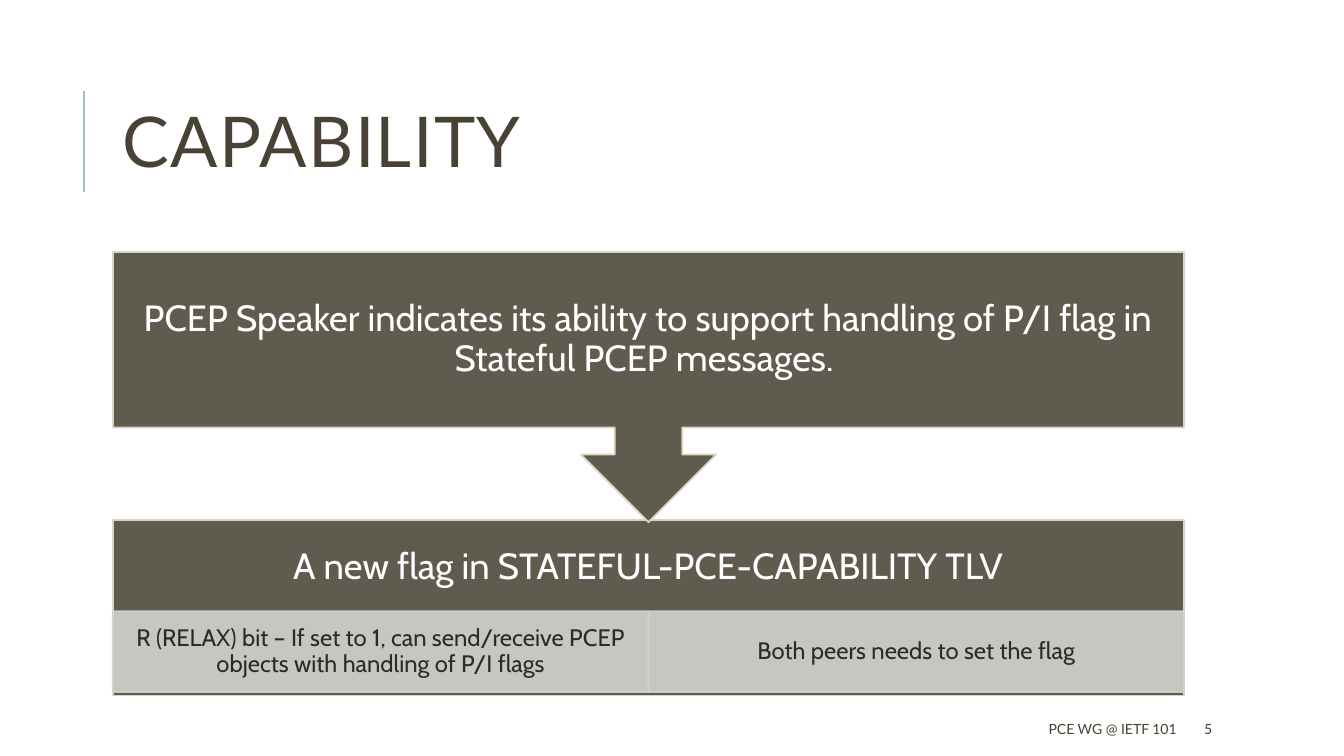
import pptx
import pptx.util
import pptx.dml.color
import pptx.enum.shapes
import pptx.enum.text
import lxml.etree
from pptx.oxml.ns import qn

WIDTH, HEIGHT = 13.33, 7.5
COLORS = {"olive": "605B4F", "edge": "D8D6BE", "cell": "D2D2D0", "white": "FFFFFF",
          "heading": "474233", "body": "2E2B21", "accent": "9CBEBD"}
SHAPES = pptx.enum.shapes.MSO_SHAPE
ALIGN = pptx.enum.text.PP_ALIGN


def rgb(name):
    """Look up a palette colour."""
    return pptx.dml.color.RGBColor.from_string(COLORS[name])


def emu(box):
    """Convert inches to slide lengths."""
    return [pptx.util.Inches(length) for length in box]


def part(box, left, top, width, height):
    """Return the part of a box given by shares of its size."""
    x, y, w, h = box
    return x + left * w, y + top * h, width * w, height * h


def write(holder, text, size, color, font="Cabin", align=ALIGN.CENTER,
          inset=(0.2, 0.2), line=0.9, tracking=0):
    """Fill a shape or text box with one formatted, vertically centred paragraph."""
    frame = holder.text_frame
    frame.word_wrap = True
    frame.vertical_anchor = pptx.enum.text.MSO_ANCHOR.MIDDLE
    frame.margin_left = frame.margin_right = pptx.util.Inches(inset[0])
    frame.margin_top = frame.margin_bottom = pptx.util.Inches(inset[1])
    paragraph = frame.paragraphs[0]
    paragraph.alignment, paragraph.line_spacing = align, line
    run = paragraph.add_run()
    run.text = text
    run.font.name, run.font.size = font, pptx.util.Pt(size)
    run.font.color.rgb = rgb(color)
    if tracking:
        run.font._element.set("spc", str(tracking * 100))


def add_label(slide, box, text, size, color, **style):
    """Add a text box holding one label."""
    write(slide.shapes.add_textbox(*emu(box)), text, size, color, **style)


def add_block(slide, kind, box, fill, edge, opacity=100):
    """Add a filled, outlined shape."""
    block = slide.shapes.add_shape(kind, *emu(box))
    block.shadow.inherit = False
    block.fill.solid()
    block.fill.fore_color.rgb = rgb(fill)
    block.line.color.rgb = rgb(edge)
    block.line.width = pptx.util.Pt(1.25)
    if opacity < 100:
        for color in block._element.spPr.iter(qn("a:srgbClr")):
            lxml.etree.SubElement(color, qn("a:alpha"), val=str(opacity * 1000))
    return block


def add_heading(slide, box):
    """Place the title and the accent rule to its left."""
    add_label(slide, box, "CAPABILITY", 50, "heading", font="Lato", align=ALIGN.LEFT,
              inset=(0.1, 0.05), line=0.8, tracking=1)
    x, y, _, _ = box
    rule = slide.shapes.add_connector(pptx.enum.shapes.MSO_CONNECTOR.STRAIGHT,
                                      *emu((x - 0.29, y + 1.26, x - 0.29, y + 0.26)))
    rule.line.color.rgb = rgb("accent")
    rule.line.width = pptx.util.Pt(1.5)
    lxml.etree.SubElement(rule._element.spPr, qn("a:effectLst"))


def add_flag_panel(slide, box, heading, details):
    """Place the panel heading above equal columns of details."""
    add_block(slide, SHAPES.RECTANGLE, box, "olive", "edge")
    add_label(slide, part(box, 0, 0, 1, 0.54), heading, 26, "white")
    share = 1 / len(details)
    for column, detail in enumerate(details):
        cell = add_block(slide, SHAPES.RECTANGLE, part(box, column * share, 0.52, share, 0.46),
                         "cell", "cell", opacity=90)
        write(cell, detail, 17, "body", inset=(0.13, 0.02))


def add_speaker_callout(slide, box, text):
    """Place the statement whose arrow leads to the panel below."""
    callout = add_block(slide, SHAPES.DOWN_ARROW_CALLOUT, box, "olive", "edge")
    write(callout, text, 26, "white")


def add_footer(slide, box, meeting, number):
    """Place the meeting name and the slide number."""
    style = dict(font="Lato", inset=(0.1, 0.05), line=1)
    add_label(slide, part(box, 0, 0, 0.85, 1), meeting, 10, "heading",
              align=ALIGN.RIGHT, **style)
    add_label(slide, part(box, 0.86, 0, 0.14, 1), number, 10, "heading",
              align=ALIGN.LEFT, **style)


def build():
    """Build the slide and save it."""
    deck = pptx.Presentation()
    deck.slide_width, deck.slide_height = emu((WIDTH, HEIGHT))
    slide = deck.slides.add_slide(deck.slide_layouts[6])
    left, width = 0.084 * WIDTH, 0.797 * WIDTH
    add_heading(slide, (left, 0.64, width, 1.64))
    add_flag_panel(slide, (left, 5.16, width, 1.74),
                   "A new flag in STATEFUL-PCE-CAPABILITY TLV",
                   ["R (RELAX) bit – If set to 1, can send/receive PCEP objects "
                    "with handling of P/I flags",
                    "Both peers needs to set the flag"])
    add_speaker_callout(slide, (left, 2.5, width, 2.68),
                        "PCEP Speaker indicates its ability to support handling of "
                        "P/I flag in Stateful PCEP messages. ")
    add_footer(slide, (5.3, 7.08, 7.61, 0.3), "PCE WG @ IETF 101", "5")
    deck.save("out.pptx")


build()
